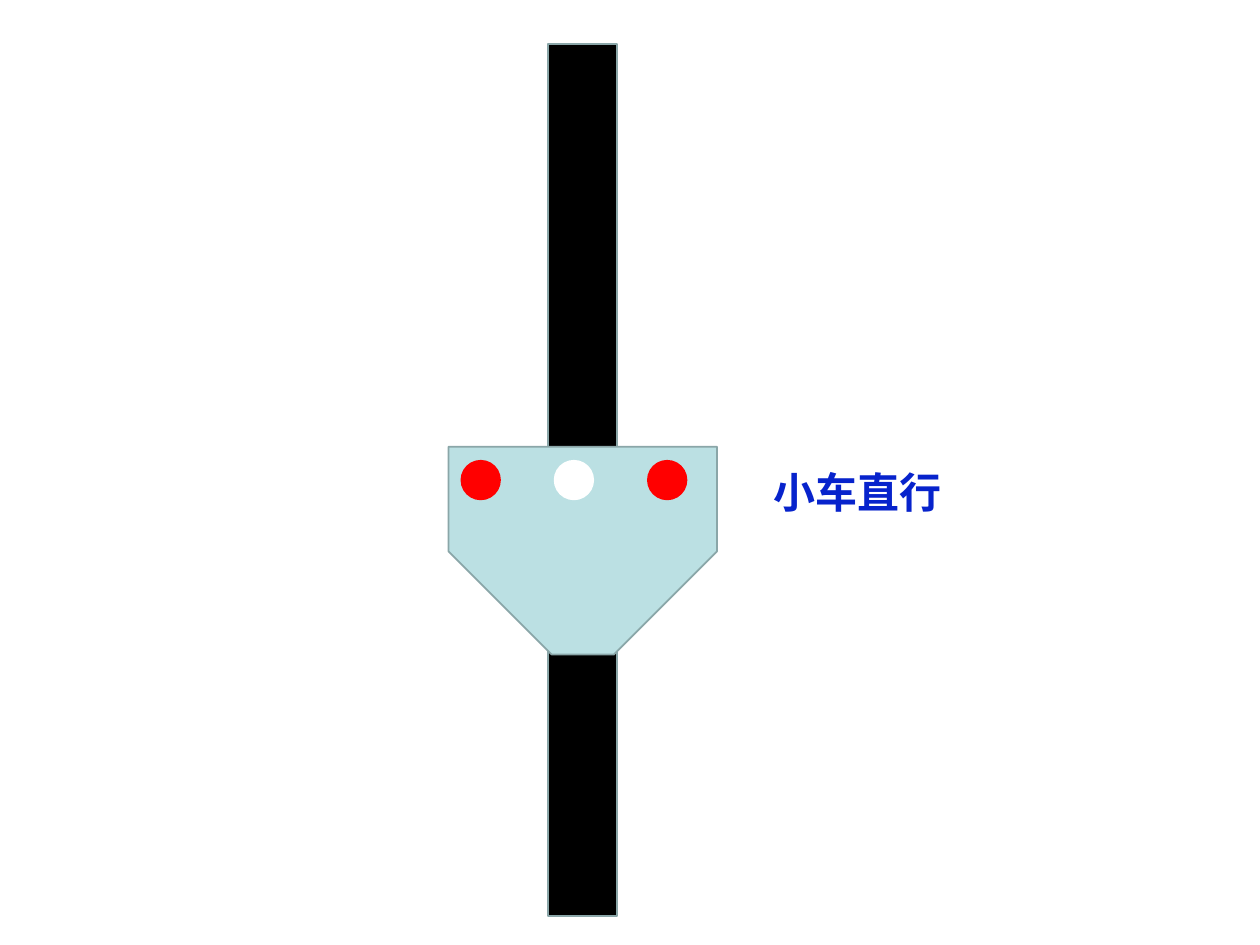
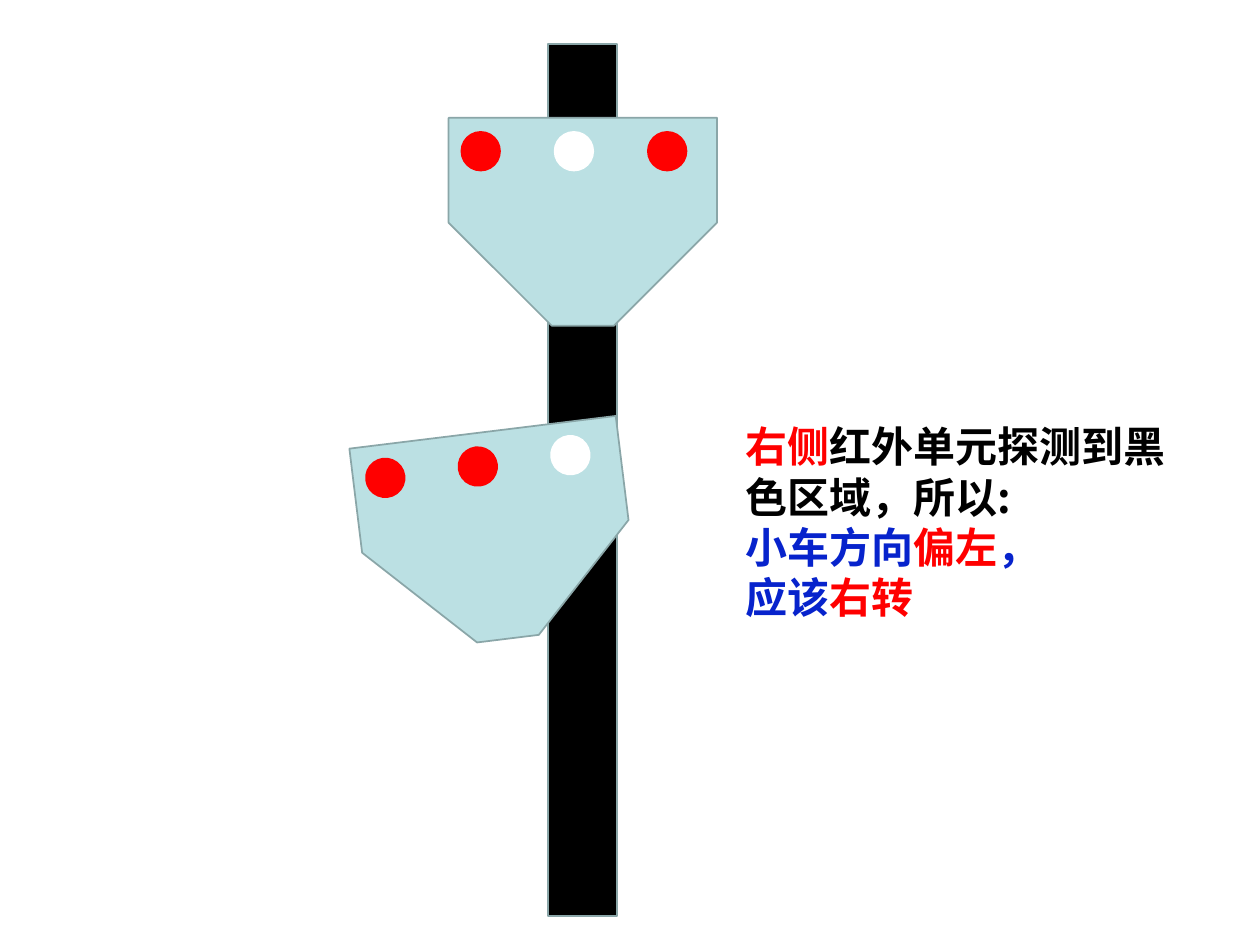
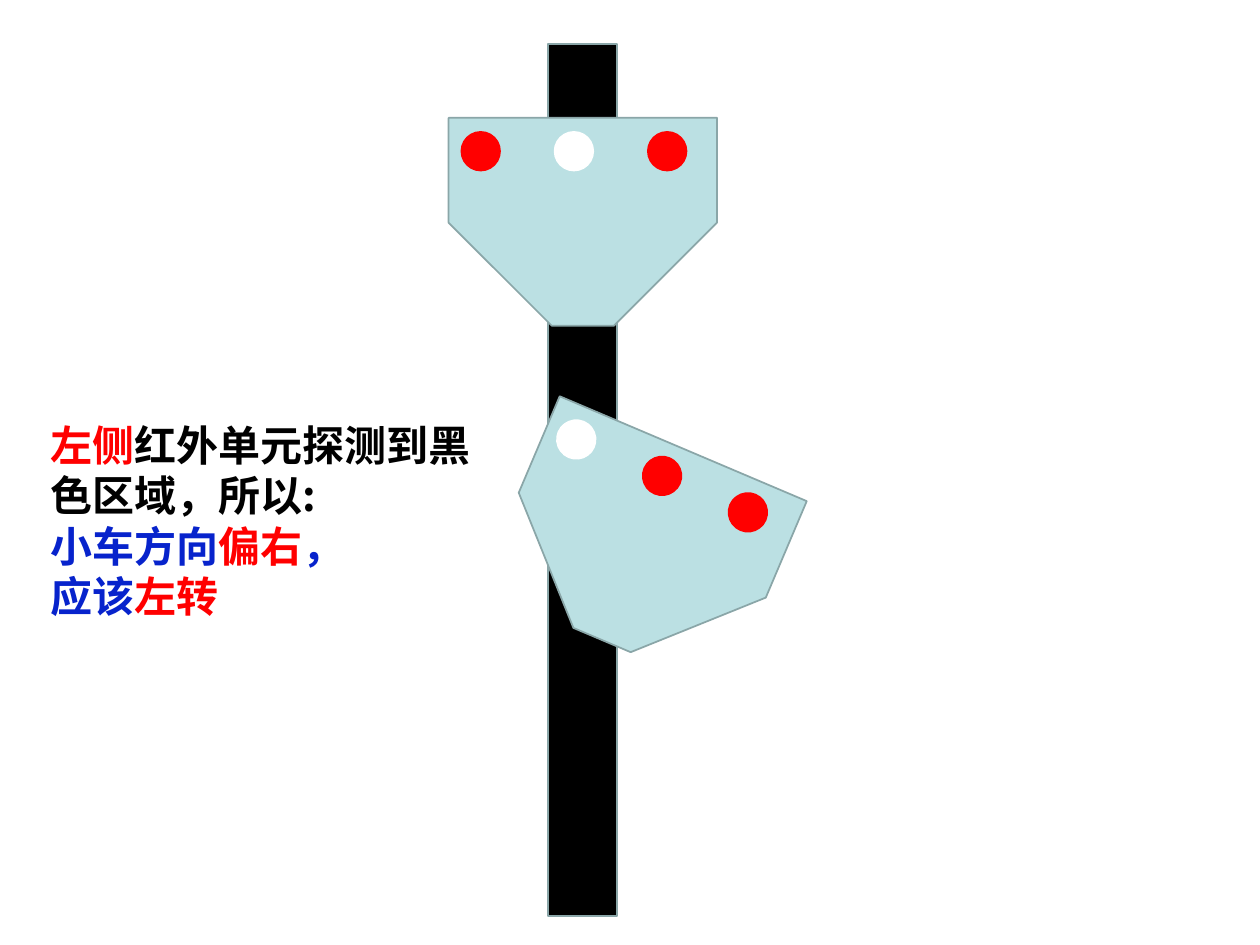
from math import cos, sin, radians
from lxml.etree import SubElement
from pptx import Presentation
from pptx.dml.color import RGBColor
from pptx.enum.shapes import MSO_SHAPE as Kind
from pptx.enum.text import MSO_AUTO_SIZE as Fit
from pptx.oxml.ns import qn
from pptx.util import Inches, Pt

FONT = "Noto Sans CJK SC"
HUES = {"track": "000000", "body": "BBE0E3", "edge": "8AA6A8", "red": "FF0000",
        "white": "FFFFFF", "blue": "0723CC", "black": "000000"}
WIDE, HIGH = 10, 7.5
TRACK = (4.35, 0.35, 0.55, 6.92)
MID = TRACK[0] + TRACK[2] / 2
BODY = (2.13, 1.65)
SNIP = 0.496
LAMP = 0.32
FIRST, STEP, RISE = -0.81, 0.74, -0.56  # lamp places, from the centre of a car

# A car is: centre x, centre y, turn in degrees, number of the lamp over the track
AHEAD = (MID, 1.76, 0, 1)


def advice(side, drift):
    return [[(side + "侧", "red"), ("红外单元探测到黑色区域，所以:", "black")],
            [("小车方向", "blue"), ("偏" + drift, "red"), ("，", "blue")],
            [("应该", "blue"), (side + "转", "red")]]


SLIDES = [
    {"cars": [(MID, 4.37, 0, 1)],
     "box": (6.04, 3.65, 2.38, 0.5), "text": [[("小车直行", "blue")]]},
    {"cars": [(3.93, 4.25, -7, 2), AHEAD],
     "box": (5.82, 3.29, 3.74, 1.72), "text": advice("右", "左")},
    {"cars": [(5.1, 4.32, 23, 0), AHEAD],
     "box": (0.3, 3.28, 3.74, 1.72), "text": advice("左", "右")},
]


def rgb(hue):
    return RGBColor.from_string(HUES[hue])


def draw(shapes, kind, box, fill, edge=None):
    shape = shapes.add_shape(kind, *map(Inches, box))
    shape.shadow.inherit = False
    shape.fill.solid()
    shape.fill.fore_color.rgb = rgb(fill)
    if edge:
        shape.line.color.rgb = rgb(edge)
        shape.line.width = Pt(1)
    else:
        shape.line.fill.background()
    return shape


def around(x, y, wide, high):
    return x - wide / 2, y - high / 2, wide, high


def add_car(slide, x, y, turn, lit):
    """Group a car body with its three lamps, all turned about the centre."""
    group = slide.shapes.add_group_shape().shapes
    body = draw(group, Kind.SNIP_2_SAME_RECTANGLE, around(x, y, *BODY), "body", "edge")
    body.adjustments[0], body.adjustments[1] = SNIP, 0
    body.rotation = 180 + turn
    c, s = cos(radians(turn)), sin(radians(turn))
    for n in range(3):
        dx = FIRST + n * STEP
        spot = around(x + dx * c - RISE * s, y + dx * s + RISE * c, LAMP, LAMP)
        lamp = draw(group, Kind.OVAL, spot, "white" if n == lit else "red")
        lamp.rotation = turn % 360


def add_note(slide, box, text):
    frame = slide.shapes.add_textbox(*map(Inches, box)).text_frame
    frame.word_wrap = True
    frame.auto_size = Fit.SHAPE_TO_FIT_TEXT
    for n, parts in enumerate(text):
        para = frame.add_paragraph() if n else frame.paragraphs[0]
        para.line_spacing = Pt(28.8)
        for words, hue in parts:
            run = para.add_run()
            run.text = words
            font = run.font
            font.size, font.bold, font.name = Pt(24), True, FONT
            font.color.rgb = rgb(hue)
            SubElement(run._r.get_or_add_rPr(), qn("a:ea")).set("typeface", FONT)


def main():
    deck = Presentation()
    deck.slide_width, deck.slide_height = Inches(WIDE), Inches(HIGH)
    for page in SLIDES:
        slide = deck.slides.add_slide(deck.slide_layouts[6])
        draw(slide.shapes, Kind.RECTANGLE, TRACK, "track", "edge")
        for car in page["cars"]:
            add_car(slide, *car)
        add_note(slide, page["box"], page["text"])
    deck.save("out.pptx")


if __name__ == "__main__":
    main()
